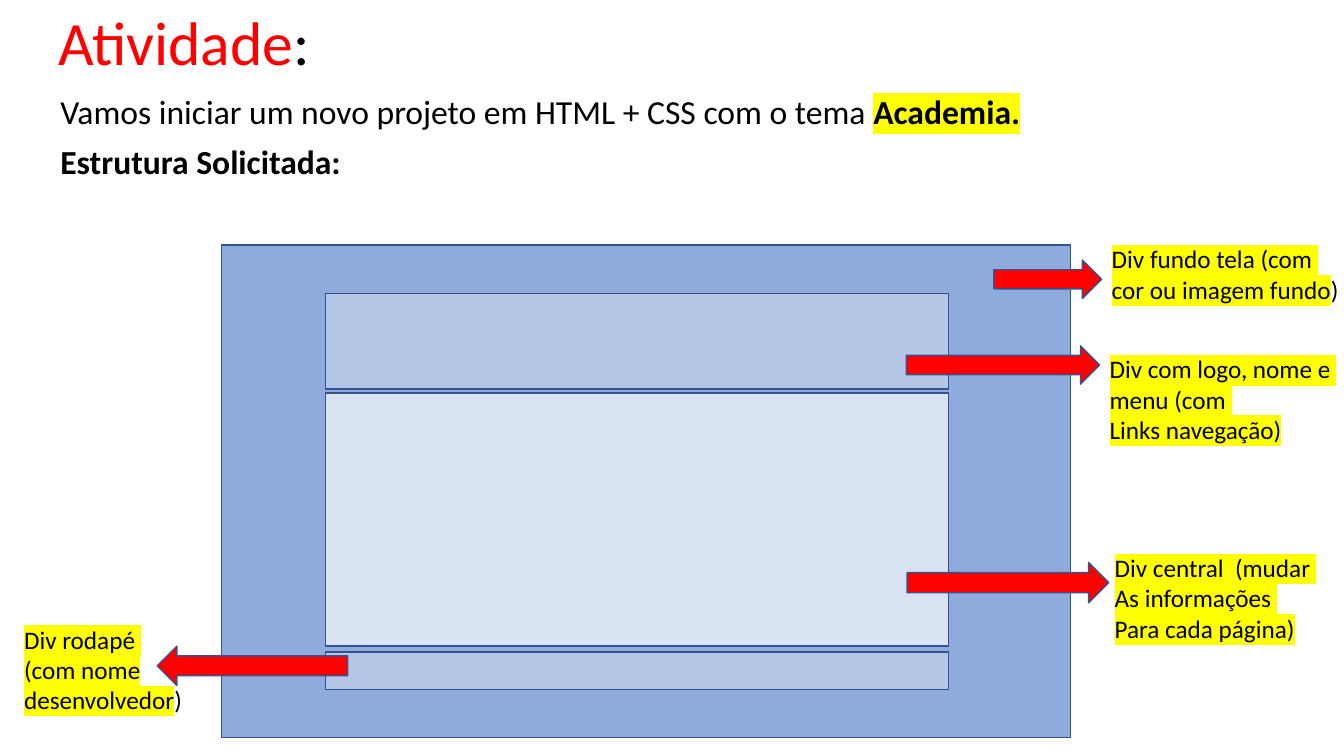
"""Build the activity slide: a page wireframe with labelled regions."""
from lxml.etree import SubElement
from pptx import Presentation
from pptx.dml.color import RGBColor
from pptx.enum.shapes import MSO_SHAPE
from pptx.enum.text import MSO_ANCHOR, MSO_AUTO_SIZE
from pptx.oxml.ns import qn
from pptx.util import Pt

THEME = {
    "font": "Calibri",
    "text": "000000", "accent": "FF0000", "marker": "FFFF00", "outline": "325491",
    "page": "8FAADC", "band": "B4C7E7", "center": "DAE3F3",
    "title_size": 44, "body_size": 24, "label_size": 18,
}

TITLE = [[("Atividade", {"color": "accent"}), (":", {})]]
BODY = [
    [("Vamos iniciar um novo projeto em HTML + CSS com o tema ", {}),
     ("Academia.", {"bold": True, "marked": True})],
    [("Estrutura Solicitada:", {"bold": True})],
]
TITLE_BOX = (34.6, -3.6, 828, 72)
BODY_BOX = (36, 64.8, 828, 342.7)

PAGE_BOX = (158.2, 175, 606.4, 352)
PANEL_LEFT, PANEL_WIDTH = 232.4, 445
PANELS = [("band", 209.5, 68.4), ("center", 280.8, 180.7), ("band", 465.8, 26.6)]

MARKED = {"marked": True}
CALLOUTS = [
    {"arrow": MSO_SHAPE.RIGHT_ARROW, "arrow_box": (709.9, 185.8, 77, 27.4),
     "label_box": (787, 170.6, 178.6, 51.1), "wrap": False,
     "lines": [[("Div fundo tela (com ", MARKED)],
               [("cor ou imagem fundo", MARKED), (")", {})]]},
    {"arrow": MSO_SHAPE.RIGHT_ARROW, "arrow_box": (647.3, 247, 138.2, 27.4),
     "label_box": (785.5, 249.1, 178.6, 72.7), "wrap": False,
     "lines": [[("Div com logo, nome e ", MARKED)], [("menu (com ", MARKED)],
               [("Links navegação)", MARKED)]]},
    {"arrow": MSO_SHAPE.RIGHT_ARROW, "arrow_box": (648, 401.8, 144, 28.8),
     "label_box": (789.1, 391, 159.8, 72.7), "wrap": False,
     "lines": [[("Div central  (mudar ", MARKED)], [("As informações ", MARKED)],
               [("Para cada página)", MARKED)]]},
    {"arrow": MSO_SHAPE.LEFT_ARROW, "arrow_box": (112.3, 461.5, 136.1, 28.1),
     "label_box": (10.1, 442.1, 135.4, 72.7), "wrap": True,
     "lines": [[("Div rodapé  (com nome", MARKED)],
               [("desenvolvedor", MARKED), (")", {})]]},
]


def theme_color(name):
    return RGBColor.from_string(THEME[name])


def apply(target, formats):
    for name, value in formats.items():
        setattr(target, name, value)


def add_block(slide, kind, box, fill):
    shape = slide.shapes.add_shape(kind, *map(Pt, box))
    shape.shadow.inherit = False
    shape.fill.solid()
    shape.fill.fore_color.rgb = theme_color(fill)
    shape.line.color.rgb = theme_color("outline")
    shape.line.width = Pt(1)


def add_marker(run):
    properties = run.font._element
    highlight = SubElement(properties, qn("a:highlight"))
    SubElement(highlight, qn("a:srgbClr"), val=THEME["marker"])
    properties.find(qn("a:solidFill")).addnext(highlight)


def add_text(slide, box, lines, size, frame_formats, paragraph_formats):
    frame = slide.shapes.add_textbox(*map(Pt, box)).text_frame
    apply(frame, frame_formats)
    for index, line in enumerate(lines):
        paragraph = frame.add_paragraph() if index else frame.paragraphs[0]
        apply(paragraph, paragraph_formats)
        for text, style in line:
            run = paragraph.add_run()
            run.text = text
            apply(run.font, {"name": THEME["font"], "size": Pt(THEME[size]),
                             "bold": style.get("bold", False)})
            run.font.color.rgb = theme_color(style.get("color", "text"))
            if style.get("marked"):
                add_marker(run)


def main():
    presentation = Presentation()
    apply(presentation, {"slide_width": Pt(960), "slide_height": Pt(540)})
    slide = presentation.slides.add_slide(presentation.slide_layouts[6])

    add_block(slide, MSO_SHAPE.FLOWCHART_PROCESS, PAGE_BOX, "page")
    add_text(slide, TITLE_BOX, TITLE, "title_size",
             {"word_wrap": True, "vertical_anchor": MSO_ANCHOR.MIDDLE},
             {"line_spacing": 0.9})
    add_text(slide, BODY_BOX, BODY, "body_size", {"word_wrap": True},
             {"line_spacing": 0.9, "space_before": Pt(10)})
    for fill, top, height in PANELS:
        add_block(slide, MSO_SHAPE.FLOWCHART_PROCESS,
                  (PANEL_LEFT, top, PANEL_WIDTH, height), fill)
    for callout in CALLOUTS:
        add_block(slide, callout["arrow"], callout["arrow_box"], "accent")
        add_text(slide, callout["label_box"], callout["lines"], "label_size",
                 {"word_wrap": callout["wrap"],
                  "auto_size": MSO_AUTO_SIZE.SHAPE_TO_FIT_TEXT}, {})

    presentation.save("out.pptx")


if __name__ == "__main__":
    main()
